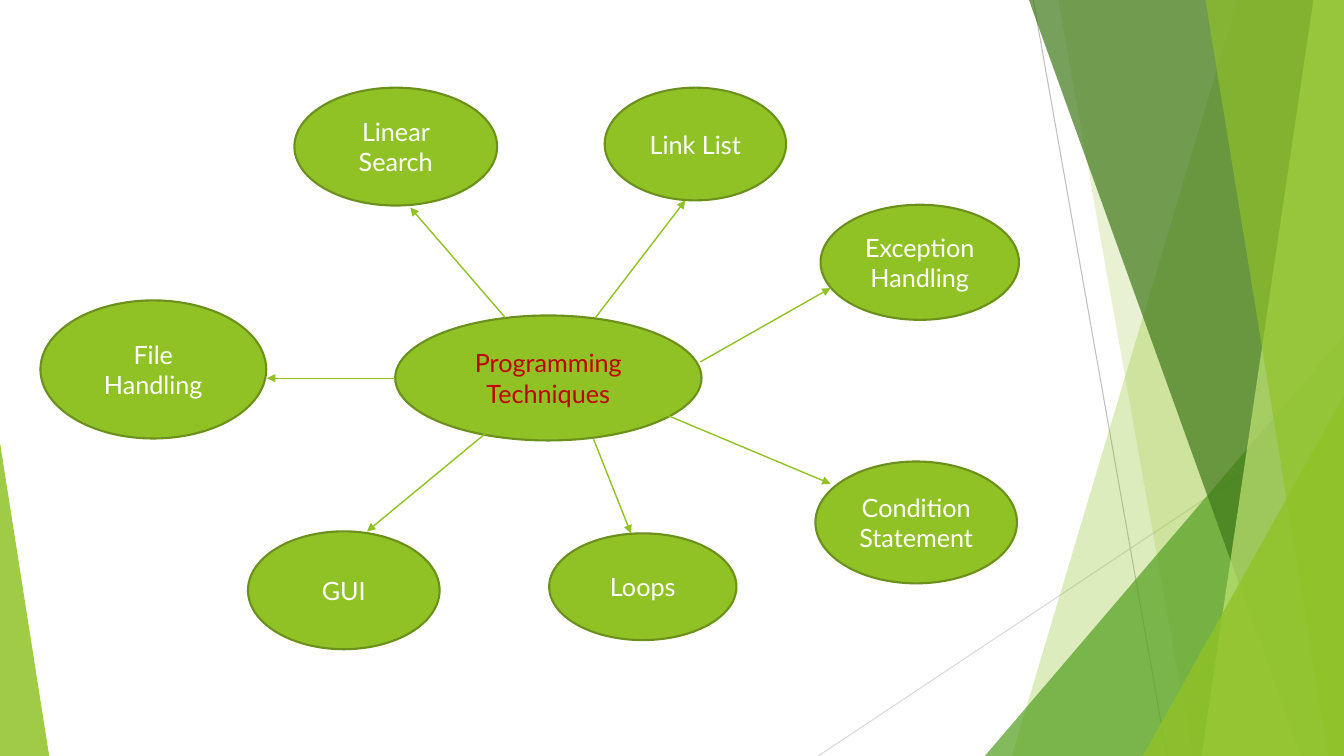
from lxml import etree
from pptx import Presentation
from pptx.dml.color import RGBColor
from pptx.enum.shapes import MSO_CONNECTOR, MSO_SHAPE
from pptx.enum.text import MSO_ANCHOR, PP_ALIGN
from pptx.oxml.ns import qn
from pptx.util import Cm, Pt

OVAL = MSO_SHAPE.OVAL
WEDGE = MSO_SHAPE.ISOSCELES_TRIANGLE
STRAIGHT = MSO_CONNECTOR.STRAIGHT
MIDDLE = MSO_ANCHOR.MIDDLE
CENTER = PP_ALIGN.CENTER

WIDE, HIGH = 33.87, 19.05
FONT = "Lato"
COLORS = {
    "lime": "90C226", "edge": "6B901C", "green": "54A021", "dark": "3F7819",
    "pale": "C0E474", "gray": "BFBFBF", "mist": "D9D9D9",
    "red": "C00000", "white": "FFFFFF",
}

# All lengths in cm
# Thin lines: from, to, colour
RULES = [
    ((26.04, 0), (29.41, HIGH), "gray"),
    ((WIDE, 10.24), (20.62, HIGH), "mist"),
]

# Shards reach the right edge: x at top, x at bottom, colour, opacity in %
# Wedges stand on the bottom edge: left, top, width, apex, colour, opacity in %
DECOR = [
    ("shard", 31.19, 25.5, "lime", 30),
    ("shard", 26.67, 30.05, "lime", 20),
    ("wedge", 24.82, 8.46, 9.05, 1, "green", 72),
    ("shard", 25.93, 32.79, "dark", 70),
    ("shard", 33.1, 30.28, "pale", 70),
    ("shard", 30.38, 33.48, "lime", 65),
    ("wedge", 28.8, 9.98, 5.07, 1, "lime", 80),
    ("wedge", 0, 11.15, 1.24, 0, "lime", 85),
]

HUB = ("Programming Techniques", (9.96, 7.95, 7.72, 3.15))

# Topic, oval box, arrow from, arrow to
TOPICS = [
    ("Link List", (15.24, 2.21, 4.57, 2.84), (15.01, 8), (17.27, 5.05)),
    ("Exception Handling", (20.68, 5.16, 5, 2.9), (17.65, 9.12), (20.93, 7.26)),
    ("Condition Statement", (20.55, 11.63, 5.08, 3.07), (15.54, 9.93), (20.93, 12.19)),
    ("Loops", (13.84, 13.44, 4.72, 2.69), (14.96, 11.07), (15.9, 13.44)),
    ("GUI", (6.25, 13.39, 4.83, 2.97), (12.42, 10.77), (9.25, 13.39)),
    ("File Handling", (1.02, 7.57, 5.69, 3.48), (9.96, 9.53), (6.73, 9.53)),
    ("Linear Search", (7.42, 2.21, 5.11, 2.97), (12.73, 8), (10.34, 5.23)),
]


def rgb(name):
    return RGBColor.from_string(COLORS[name])


def paint(shape, color, alpha=100, edge=None):
    """Fill a shape; alpha is its opacity in percent."""
    shape.shadow.inherit = False
    shape.fill.solid()
    shape.fill.fore_color.rgb = rgb(color)
    if alpha < 100:
        tint = next(shape._element.spPr.iter(qn("a:srgbClr")))
        etree.SubElement(tint, qn("a:alpha"), val=str(alpha * 1000))
    if edge:
        shape.line.color.rgb = rgb(edge)
        shape.line.width = Pt(1.5)
    else:
        shape.line.fill.background()


def write(shape, text, color="white", size=18, font=FONT, align=CENTER):
    frame = shape.text_frame
    frame.word_wrap = True
    frame.vertical_anchor = MIDDLE
    para = frame.paragraphs[0]
    para.alignment = align
    run = para.add_run()
    run.text = text
    run.font.name = font
    run.font.size = Pt(size)
    run.font.color.rgb = rgb(color)


def link(shapes, start, end, color, width, head=False):
    line = shapes.add_connector(STRAIGHT, *map(Cm, start + end))
    line.line.color.rgb = rgb(color)
    line.line.width = Pt(width)
    if head:
        etree.SubElement(line.line._get_or_add_ln(), qn("a:tailEnd"), type="triangle")
    etree.SubElement(line._element.spPr, qn("a:effectLst"))


def shard(shapes, top, foot, color, alpha):
    pen = shapes.build_freeform(Cm(top), 0)
    pen.add_line_segments(
        [(Cm(x), Cm(y)) for x, y in [(WIDE, 0), (WIDE, HIGH), (foot, HIGH)]])
    paint(pen.convert_to_shape(), color, alpha)


def wedge(shapes, left, top, width, apex, color, alpha):
    shape = shapes.add_shape(WEDGE, *map(Cm, (left, top, width, HIGH - top)))
    shape.adjustments[0] = apex
    paint(shape, color, alpha)


def oval(shapes, text, box, color="white"):
    shape = shapes.add_shape(OVAL, *map(Cm, box))
    paint(shape, "lime", edge="edge")
    write(shape, text, color=color)


def main():
    deck = Presentation()
    deck.slide_width, deck.slide_height = Cm(WIDE), Cm(HIGH)
    shapes = deck.slides.add_slide(deck.slide_layouts[6]).shapes

    for start, end, color in RULES:
        link(shapes, start, end, color, 0.75)
    draw = {"shard": shard, "wedge": wedge}
    for kind, *part in DECOR:
        draw[kind](shapes, *part)

    oval(shapes, *HUB, color="red")
    for text, box, start, end in TOPICS:
        oval(shapes, text, box)
        link(shapes, start, end, "lime", 1, head=True)

    deck.save("out.pptx")


if __name__ == "__main__":
    main()
